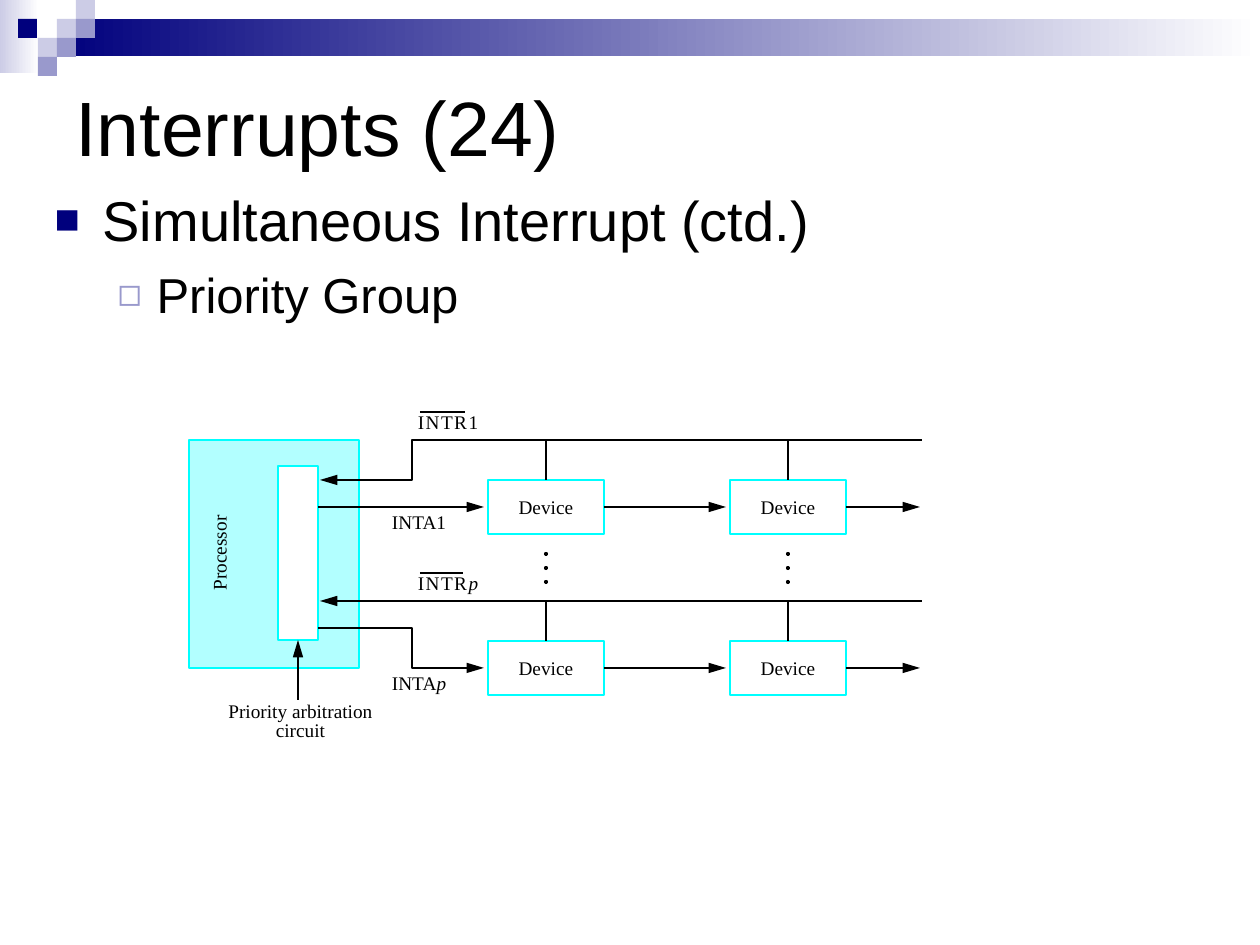
from lxml.etree import SubElement
from pptx import Presentation
from pptx.dml.color import RGBColor
from pptx.enum.shapes import MSO_CONNECTOR, MSO_SHAPE
from pptx.enum.text import MSO_ANCHOR, PP_ALIGN
from pptx.oxml.ns import qn
from pptx.util import Inches, Pt

PX = 7257
SANS, SERIF = "Arial", "Times New Roman"
BLACK, CYAN, NAVY, PALE, MID = "000000", "00FFFF", "00007D", "CCCCE6", "9999CC"
hue = RGBColor.from_string

deck = Presentation()
deck.slide_width, deck.slide_height = Inches(10), Inches(7.5)
slide = deck.slides.add_slide(deck.slide_layouts[1])
shapes = slide.shapes


def write(par, text, size=11, face=SERIF):
    run = par.add_run()
    run.text = text
    run.font.size = Pt(size)
    run.font.name = face
    run.font.color.rgb = hue(BLACK)
    return run


def wire(spots, tip=True):
    if len(spots) == 2:
        ends = [n * PX for spot in spots for n in spot]
        line = shapes.add_connector(MSO_CONNECTOR.STRAIGHT, *ends)
    else:
        pen = shapes.build_freeform(*spots[0], scale=PX)
        pen.add_line_segments(spots[1:], close=False)
        line = pen.convert_to_shape()
        line.fill.background()
    line.line.color.rgb = hue(BLACK)
    line.line.width = Pt(1.25)
    if tip:
        SubElement(line.line._get_or_add_ln(), qn("a:tailEnd"),
                   type="triangle", w="med", len="lg")
    SubElement(line._element.spPr, qn("a:effectLst"))
    return line


for x, y, wide, high, tone in [
    (0, 0, 39, 73, PALE),
    (57, 19, 1203, 37, NAVY),
]:
    band = shapes.add_shape(MSO_SHAPE.RECTANGLE, x * PX, y * PX, wide * PX, high * PX)
    band.shadow.inherit = False
    band.line.fill.background()
    band.fill.gradient()
    band.fill.gradient_angle = 0
    for stop, shade in zip(band.fill.gradient_stops, (tone, "FFFFFF")):
        stop.color.rgb = hue(shade)

tiles = [
    (57, 19, PALE), (76, 0, PALE), (76, 19, MID), (38, 38, PALE),
    (18, 19, NAVY), (57, 38, MID), (38, 57, MID),
]
dots = [(x, y) for x in (544, 786) for y in (552, 566, 580)]
marks = [(MSO_SHAPE.RECTANGLE, x, y, 19, tone) for x, y, tone in tiles]
marks += [(MSO_SHAPE.OVAL, x, y, 4, BLACK) for x, y in dots]
for kind, x, y, side, tone in marks:
    mark = shapes.add_shape(kind, x * PX, y * PX, side * PX, side * PX)
    mark.shadow.inherit = False
    mark.fill.solid()
    mark.fill.fore_color.rgb = hue(tone)
    mark.line.fill.background()

title = shapes.title
title.left, title.top, title.width, title.height = 63 * PX, 63 * PX, 1134 * PX, 126 * PX
title.text_frame.vertical_anchor = MSO_ANCHOR.MIDDLE
head = title.text_frame.paragraphs[0]
head.alignment = PP_ALIGN.LEFT
write(head, "Interrupts (24)", 44, SANS)

body = slide.placeholders[1]
body.left, body.top, body.width, body.height = 42 * PX, 179 * PX, 1155 * PX, 725 * PX
frame = body.text_frame
for level, text, size, gap, left, hang, sign, tone, part in [
    (0, "Simultaneous Interrupt (ctd.)", 32, 8, 48, 48, "■", NAVY, 75),
    (1, "Priority Group", 28, 7, 102, 39, "◻", MID, 80),
]:
    par = frame.add_paragraph() if level else frame.paragraphs[0]
    par.level = level
    par.space_before = Pt(gap)
    write(par, text, size, SANS)
    prop = par._p.get_or_add_pPr()
    prop.set("marL", str(left * PX))
    prop.set("indent", str(-hang * PX))
    SubElement(SubElement(prop, qn("a:buClr")), qn("a:srgbClr"), val=tone)
    SubElement(prop, qn("a:buSzPct"), val=str(part * 1000))
    SubElement(prop, qn("a:buFont"), typeface=SANS)
    SubElement(prop, qn("a:buChar"), char=sign)

boxes = []
for x, y, wide, high, tone, text in [
    (189, 440, 170, 228, "B2FFFF", ""),
    (278, 466, 40, 174, "FFFFFF", ""),
] + [(x, y, 116, 54, "FFFFFF", "Device") for y in (480, 641) for x in (488, 730)]:
    box = shapes.add_shape(MSO_SHAPE.RECTANGLE, x * PX, y * PX, wide * PX, high * PX)
    box.shadow.inherit = False
    box.fill.solid()
    box.fill.fore_color.rgb = hue(tone)
    box.line.color.rgb = hue(CYAN)
    box.line.width = Pt(1.25)
    if text:
        par = box.text_frame.paragraphs[0]
        par.alignment = PP_ALIGN.CENTER
        write(par, text)
    boxes.append(box)
unit, gate, *nodes = boxes

wire([(922, 440), (412, 440), (412, 480), (320, 480)])
wire([(922, 601), (320, 601)])
wire([(318, 507), (484, 507)])
wire([(318, 628), (412, 628), (412, 668), (484, 668)])
wire([(298, 700), (298, 640)]).end_connect(gate, 2)
for i, node in enumerate(nodes):
    row, col = divmod(i, 2)
    x, y = 546 + 242 * col, 440 + 161 * row
    wire([(x, y), (x, y + 40)], False).end_connect(node, 0)
    wire([(x + 58, y + 67), ((726, 920)[col], y + 67)]).begin_connect(node, 3)
for y, end in [(412, 465), (573, 463)]:
    wire([(420, y), (end, y)], False)

for x, y, wide, high, turn, lines in [
    (418, 410, 62, 23, 0, [["INTR", "1"]]),
    (418, 571, 62, 23, 0, [["INTR", "p"]]),
    (392, 510, 56, 23, 0, [["INTA1"]]),
    (392, 671, 60, 23, 0, [["INTA", "p"]]),
    (181, 541, 76, 23, 270, [["Processor"]]),
    (228, 703, 145, 40, 0, [["Priority arbitration"], ["circuit"]]),
]:
    label = shapes.add_textbox(x * PX, y * PX, wide * PX, high * PX)
    label.rotation = turn
    frame = label.text_frame
    frame.word_wrap = False
    frame.margin_left = frame.margin_right = frame.margin_top = frame.margin_bottom = 0
    for i, parts in enumerate(lines):
        par = frame.add_paragraph() if i else frame.paragraphs[0]
        if len(lines) > 1:
            par.alignment = PP_ALIGN.CENTER
            par.line_spacing = Pt(11)
        for part in parts:
            run = write(par, part)
            run.font.italic = part == "p"
            if part == "INTR":
                run.font._element.set("spc", "80")

deck.save("out.pptx")
